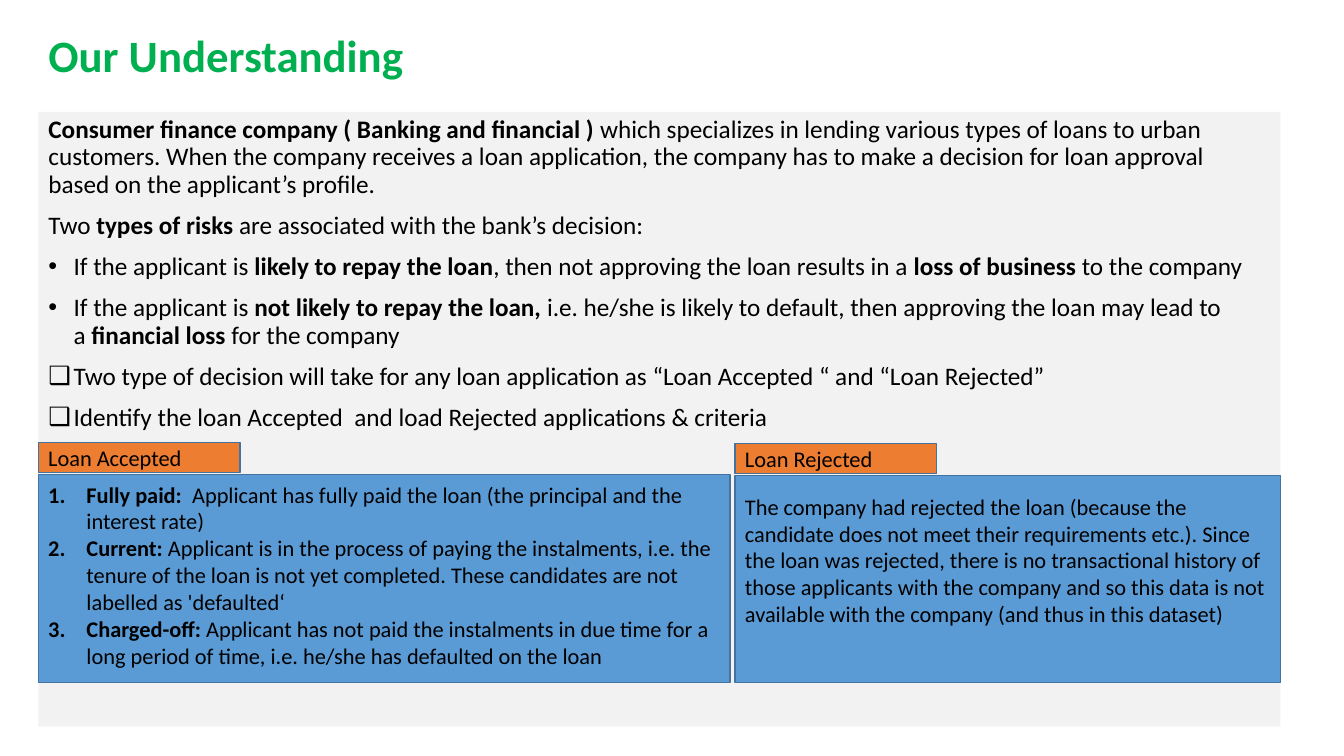
from lxml.etree import SubElement
from pptx import Presentation
from pptx.dml.color import RGBColor
from pptx.enum.shapes import MSO_SHAPE as Shape
from pptx.enum.text import MSO_ANCHOR as Anchor, MSO_AUTO_SIZE as AutoSize, PP_ALIGN as Align
from pptx.oxml.ns import qn
from pptx.util import Inches, Pt

GREEN = RGBColor(0x00, 0xB0, 0x50)
BLACK = RGBColor(0x00, 0x00, 0x00)
GREY = RGBColor(0xF2, 0xF2, 0xF2)
BLUE = RGBColor(0x5B, 0x9B, 0xD5)
ORANGE = RGBColor(0xED, 0x7D, 0x31)
OUTLINE = RGBColor(0x43, 0x73, 0x9E)
FONT = "Calibri"
NUMBERED = "arabicPeriod"

# Each paragraph is (marker, text); ** switches bold on and off.
TITLE = "**Our Understanding**"
OVERVIEW = [
    ("", "**Consumer finance company ( Banking and financial )\u00a0**which\u00a0specializes in lending "
         "various types of loans to\u00a0urban customers.\u00a0When the company receives a loan "
         "application, the company has to make a decision for loan approval based on the "
         "applicant’s profile. "),
    ("", "Two\u00a0**types of risks**\u00a0are associated with the bank’s decision:"),
    ("•", "If the applicant is**\u00a0likely to repay the loan**, then not approving the loan "
          "results in a\u00a0**loss of business**\u00a0to the company"),
    ("•", "If the applicant is\u00a0**not likely to repay the loan,**\u00a0i.e. he/she is likely to "
          "default, then approving the loan may lead to a\u00a0**financial loss**\u00a0for the company"),
    ("❑", "Two type of decision will take for any loan application as “Loan Accepted “ and "
          "“Loan Rejected” "),
    ("❑", "Identify the loan Accepted  and load Rejected applications & criteria"),
]
ACCEPTED = [
    (NUMBERED, "**Fully paid:**  Applicant has fully paid the loan (the principal and the interest rate)"),
    (NUMBERED, "**Current:** Applicant is in the process of paying the instalments, i.e. the tenure of "
               "the loan is not yet completed. These candidates are not labelled as 'defaulted‘"),
    (NUMBERED, "**Charged-off: **Applicant has not paid the instalments in due time for a long period "
               "of time, i.e. he/she has\u00a0defaulted\u00a0on the loan"),
]
REJECTED = [
    ("", "The company had rejected the loan (because the candidate does not meet their requirements "
         "etc.). Since the loan was rejected, there is no transactional history of those applicants "
         "with the company and so this data is not available with the company (and thus in this "
         "dataset)"),
]

LEFT, PANEL_BOTTOM = 0.38, 6.77
TAG_WIDTH, TAG_HEIGHT, TAG_RISE = 2, 0.3, 0.32
# label, paragraphs, left, panel top, panel width, text top, text width, text height
DECISIONS = [
    ("Loan Accepted", ACCEPTED, LEFT, 4.71, 6.86, 4.72, 6.84, 1.99),
    ("Loan Rejected", REJECTED, 7.29, 4.72, 5.41, 4.84, 5.41, 1.45),
]


def place(shape, left, top, width, height):
    """Move and size a shape, in inches."""
    shape.left, shape.top = Inches(left), Inches(top)
    shape.width, shape.height = Inches(width), Inches(height)


def mark(paragraph, marker, indent):
    """Give a paragraph its bullet or number with a hanging indent, or neither."""
    props = paragraph._p.get_or_add_pPr()
    hang = Inches(indent) if marker else 0
    props.set("marL", str(hang))
    props.set("indent", str(-hang))
    if not marker:
        SubElement(props, qn("a:buNone"))
    elif marker == NUMBERED:
        SubElement(props, qn("a:buFont"), typeface="+mj-lt")
        SubElement(props, qn("a:buAutoNum"), type=marker)
    else:
        SubElement(props, qn("a:buFont"), typeface="Arial")
        SubElement(props, qn("a:buChar"), char=marker)


def write(frame, paragraphs, size, color=BLACK, indent=0.38, line_spacing=None, before=None):
    """Fill a text frame with marked paragraphs of plain and bold runs."""
    frame.word_wrap = True
    for number, (marker, text) in enumerate(paragraphs):
        paragraph = frame.add_paragraph() if number else frame.paragraphs[0]
        paragraph.alignment = Align.LEFT
        paragraph.line_spacing = line_spacing
        paragraph.space_before = before
        mark(paragraph, marker, indent)
        for position, part in enumerate(text.split("**")):
            if part:
                run = paragraph.add_run()
                run.text = part
                run.font.name, run.font.size = FONT, Pt(size)
                run.font.bold = position % 2 == 1
                run.font.color.rgb = color


def add_box(shapes, fill, left, top, width, height):
    """Add an outlined, filled rectangle and return it."""
    box = shapes.add_shape(Shape.RECTANGLE, Inches(left), Inches(top), Inches(width), Inches(height))
    box.shadow.inherit = False
    box.fill.solid()
    box.fill.fore_color.rgb = fill
    box.line.color.rgb = OUTLINE
    box.line.width = Pt(1)
    return box


def add_decision(shapes, label, paragraphs, left, top, width, text_top, text_width, text_height):
    """Add one loan decision: blue panel, orange tag and explanation."""
    add_box(shapes, BLUE, left, top, width, PANEL_BOTTOM - top)
    tag = add_box(shapes, ORANGE, left, top - TAG_RISE, TAG_WIDTH, TAG_HEIGHT)
    tag.text_frame.vertical_anchor = Anchor.MIDDLE
    write(tag.text_frame, [("", label)], 16)
    explanation = shapes.add_textbox(Inches(left), Inches(text_top),
                                     Inches(text_width), Inches(text_height))
    write(explanation.text_frame, paragraphs, 16)
    explanation.text_frame.auto_size = AutoSize.SHAPE_TO_FIT_TEXT


deck = Presentation()
deck.slide_width, deck.slide_height = Inches(13.33), Inches(7.5)
slide = deck.slides.add_slide(deck.slide_layouts[1])

title = slide.shapes.title
place(title, LEFT, 0.22, 12.04, 0.71)
title.text_frame.vertical_anchor = Anchor.MIDDLE
title.text_frame.auto_size = AutoSize.NONE
write(title.text_frame, [("", TITLE)], 32, GREEN, line_spacing=0.9)

overview = slide.placeholders[1]
place(overview, LEFT, 1.11, 12.32, 6.1)
overview.fill.solid()
overview.fill.fore_color.rgb = GREY
overview.text_frame.auto_size = AutoSize.NONE
write(overview.text_frame, OVERVIEW, 18, indent=0.25, line_spacing=0.9, before=Pt(10))

for decision in DECISIONS:
    add_decision(slide.shapes, *decision)

deck.save("out.pptx")
